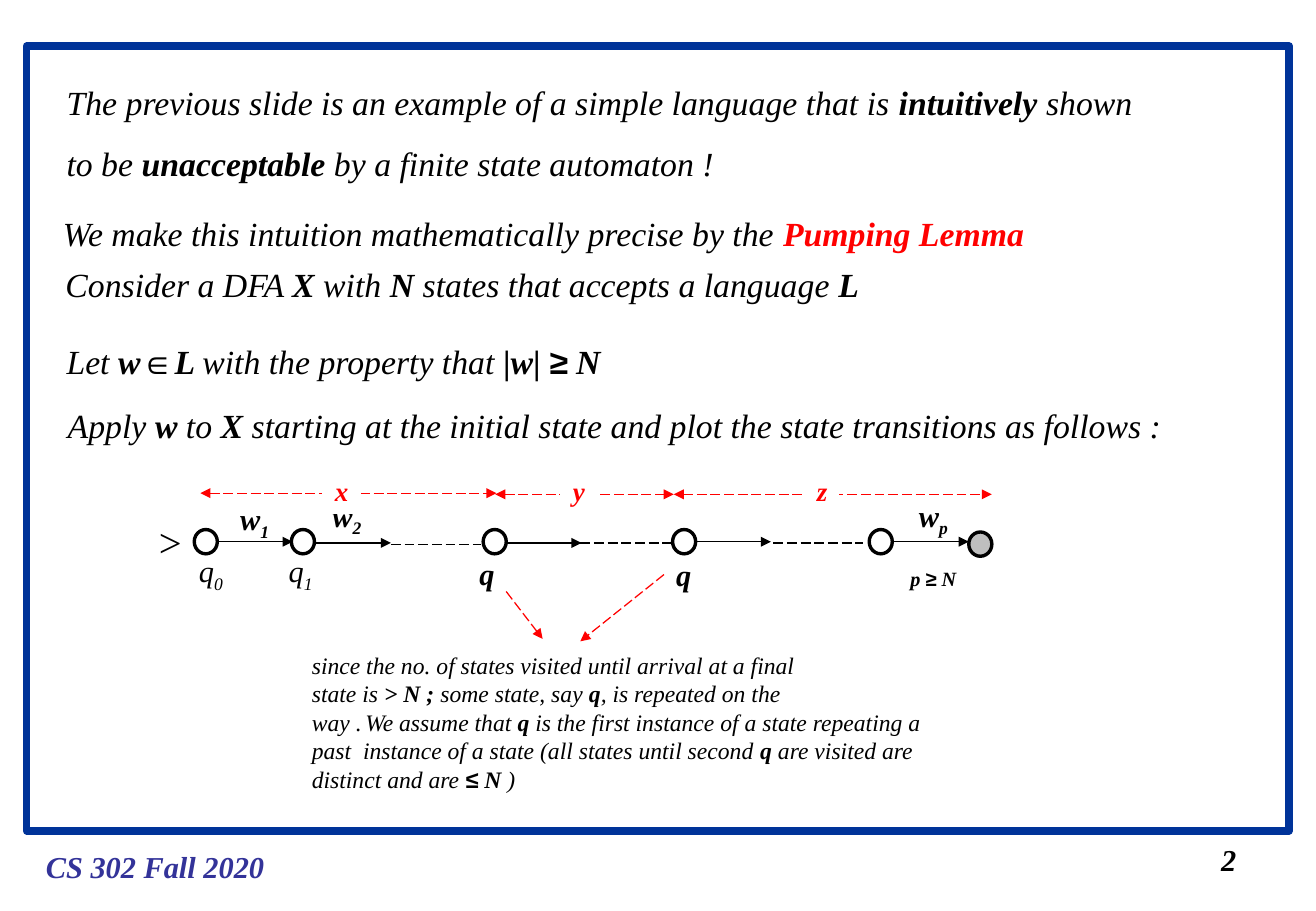
from itertools import groupby

from lxml import etree
from pptx import Presentation
from pptx.dml.color import RGBColor
from pptx.enum.dml import MSO_LINE
from pptx.enum.shapes import MSO_CONNECTOR, MSO_SHAPE
from pptx.oxml.ns import qn
from pptx.util import Inches, Pt

COLORS = {"frame": "003399", "course": "333399", "ink": "000000",
          "accent": "FF0000", "paper": "FFFFFF", "final": "BFBFBF"}
COLORS = {name: RGBColor.from_string(value) for name, value in COLORS.items()}
MATH_SYMBOLS = "∈≥≤"

prs = Presentation()
prs.slide_width, prs.slide_height = Inches(10.84), Inches(7.5)
slide = prs.slides.add_slide(prs.slide_layouts[6])
shapes = slide.shapes


def add_text(text, left, top, width, height, size, color="ink", wrap=False,
             spacing=None, italic=True, subscript=""):
    """Add a text box; asterisks switch bold on and off."""
    box = shapes.add_textbox(Inches(left), Inches(top), Inches(width), Inches(height))
    box.text_frame.word_wrap = wrap
    paragraph = box.text_frame.paragraphs[0]
    if spacing:
        paragraph.line_spacing = spacing
    pieces = [(piece, index % 2 == 1, False)
              for index, piece in enumerate(text.split("*"))]
    if subscript:
        pieces.append((subscript, pieces[-1][1], True))
    for piece, bold, lowered in pieces:
        for is_symbol, letters in groupby(piece, lambda letter: letter in MATH_SYMBOLS):
            run = paragraph.add_run()
            run.text = "".join(letters)
            look = {"name": "Arial" if is_symbol else "Times New Roman",
                    "size": Pt(size), "bold": bold, "italic": italic}
            for attribute, value in look.items():
                setattr(run.font, attribute, value)
            run.font.color.rgb = COLORS[color]
            if lowered:
                run.font._element.set("baseline", "-25000")
    return box


def add_line(x1, y1, x2, y2, color="ink", dashed=False, ends=()):
    line = shapes.add_connector(MSO_CONNECTOR.STRAIGHT, Inches(x1), Inches(y1),
                                Inches(x2), Inches(y2))
    line.line.color.rgb = COLORS[color]
    line.line.width = Pt(0.75)
    if dashed:
        line.line.dash_style = MSO_LINE.LONG_DASH
    outline = line.line._get_or_add_ln()
    for end in ends:
        etree.SubElement(outline, qn(f"a:{end}")).set("type", "triangle")
    etree.SubElement(line._element.spPr, qn("a:effectLst"))


# Frame, course name and slide number
frame = shapes.add_shape(MSO_SHAPE.RECTANGLE, Inches(0.22), Inches(0.38),
                         Inches(10.4), Inches(6.46))
frame.shadow.inherit = False
frame.fill.background()
frame.line.color.rgb = COLORS["frame"]
frame.line.width = Pt(4.5)
add_text("*CS 302 Fall 2020", 0.28, 6.93, 2, 0.4, 18, "course")
add_text("*2", 9.96, 6.88, 0.32, 0.4, 18)

# Statements leading to the lemma
add_text("The previous slide is an example of a simple language that is *intuitively *"
         "shown to be *unacceptable* by a finite state automaton !",
         0.45, 0.46, 9.11, 1.1, 20, wrap=True, spacing=1.5)
lemma = add_text("We make this intuition mathematically precise by the *Pumping Lemma",
                 0.42, 1.54, 8.22, 0.6, 20, spacing=1.5)
lemma.text_frame.paragraphs[0].runs[-1].font.color.rgb = COLORS["accent"]
add_text("Consider a DFA *X *with *N *states that accepts a language *L",
         0.44, 2.12, 6.85, 0.44, 20)
add_text("Let *w∈L *with the property that *|w| ≥ N",
         0.45, 2.59, 4.9, 0.6, 20, wrap=True, spacing=1.5)
add_text("Apply *w* to *X *starting at the initial state and plot the state "
         "transitions as follows :", 0.46, 3.12, 9.26, 0.6, 20, wrap=True, spacing=1.5)

# Arrows from the repeated state to its explanation
for x1, y1, x2, y2 in [(4.17, 4.87, 4.47, 5.26), (5.47, 4.73, 4.78, 5.28)]:
    add_line(x1, y1, x2, y2, "accent", dashed=True, ends=["tailEnd"])

# Transitions: single steps, then skipped stretches
for x1, x2, y in [(1.74, 2.41, 4.46), (2.54, 3.22, 4.47), (4.12, 4.79, 4.47),
                  (5.68, 6.35, 4.46), (7.3, 7.98, 4.46)]:
    add_line(x1, y, x2, y, ends=["tailEnd"])
for x1, x2, y in [(3.22, 3.96, 4.48), (4.78, 5.53, 4.47), (6.37, 7.11, 4.47)]:
    add_line(x1, y, x2, y, dashed=True)

# States
for left, top, fill in [(1.6, 4.36, "paper"), (2.4, 4.36, "paper"),
                        (3.98, 4.36, "paper"), (5.54, 4.36, "paper"),
                        (7.16, 4.36, "paper"), (7.98, 4.38, "final")]:
    state = shapes.add_shape(MSO_SHAPE.OVAL, Inches(left), Inches(top),
                             Inches(0.19), Inches(0.2))
    state.shadow.inherit = False
    state.fill.solid()
    state.fill.fore_color.rgb = COLORS[fill]
    state.line.color.rgb = COLORS["ink"]
    state.line.width = Pt(2)

# State and symbol labels
add_text(">", 1.21, 4.21, 0.39, 0.5, 24, italic=False)
for label, subscript, left, top, width in [
        ("q", "0", 1.54, 4.5, 0.4), ("q", "1", 2.28, 4.5, 0.55),
        ("*q", "", 3.85, 4.52, 0.32), ("*q", "", 5.47, 4.53, 0.32),
        ("*w", "1", 1.88, 4.07, 0.44), ("*w", "2", 2.64, 4.04, 0.44),
        ("*w", "p", 7.47, 4.04, 0.44)]:
    add_text(label, left, top, width, 0.44 if subscript else 0.4, 18,
             wrap=width == 0.55, subscript=subscript)
add_text("*p ≥ N", 7.4, 4.61, 0.66, 0.3, 12)

# Spans x, y and z of the word
for name, x1, x2, y, left, width in [("x", 1.65, 4.09, 4.06, 2.66, 0.31),
                                     ("z", 5.55, 8.17, 4.07, 6.63, 0.28),
                                     ("y", 4.08, 5.55, 4.07, 4.62, 0.3)]:
    add_line(x1, y, x2, y, "accent", dashed=True, ends=["headEnd", "tailEnd"])
    span = add_text(f"*{name}", left, 3.86, width, 0.37, 16, "accent")
    span.fill.solid()
    span.fill.fore_color.rgb = COLORS["paper"]
    span.line.color.rgb = COLORS["paper"]
    span.line.width = Pt(0.75)

# Explanation; the second sentence starts on the last line of the first
add_text("since the no. of states visited until arrival at a final state is *> N ; *"
         "some state, say *q*, is repeated on the way .",
         2.47, 5.31, 4.32, 0.8, 14, wrap=True)
assumption = add_text(
    "We assume that *q *is the first instance of a state repeating a past  instance "
    "of a state (all states until second *q* are visited are distinct and are *≤ N* )",
    2.47, 5.78, 5.42, 0.8, 14, wrap=True)
first_line = assumption.text_frame.paragraphs[0]._p.get_or_add_pPr()
first_line.set("indent", str(Inches(0.44)))

prs.save("out.pptx")
